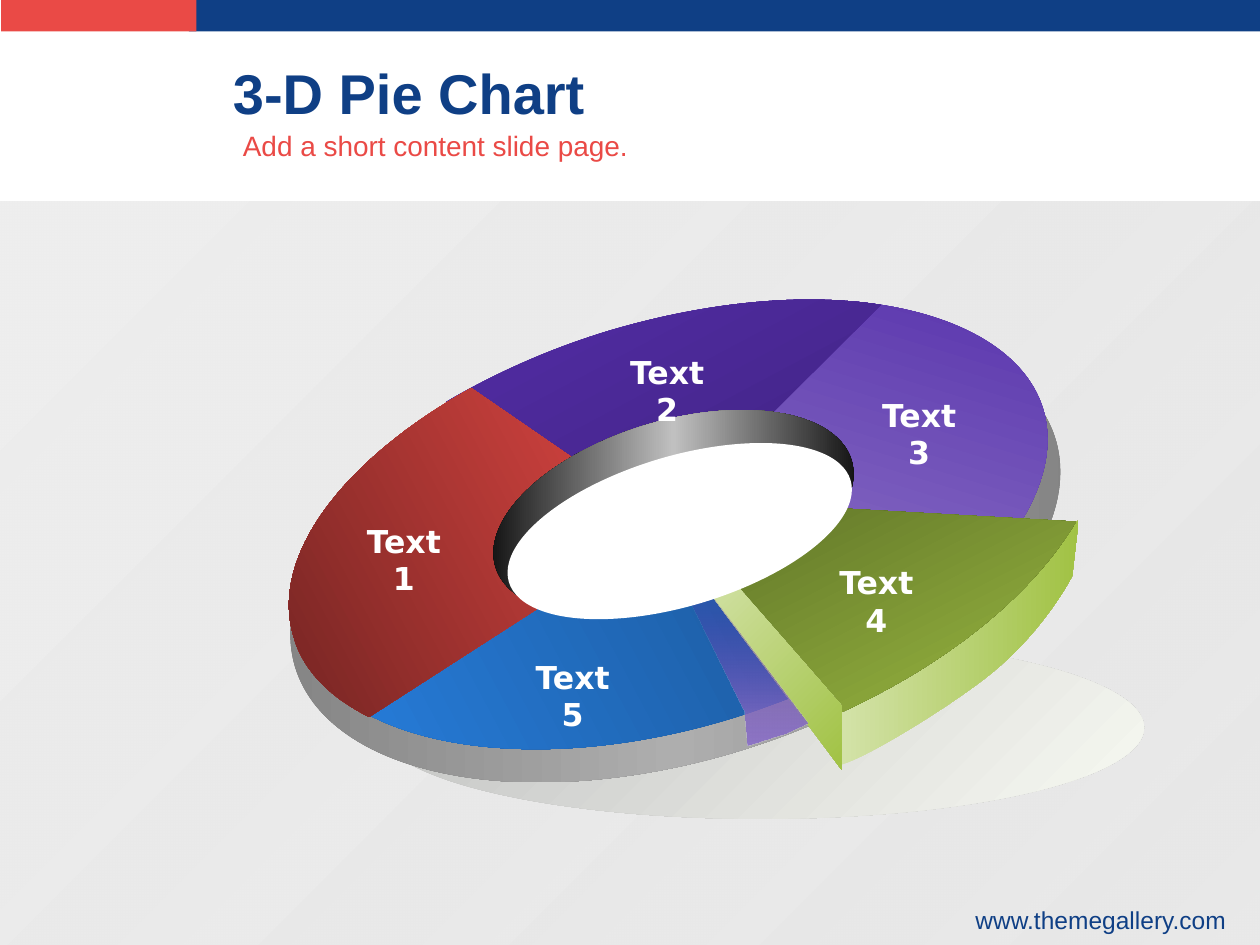
import math

import pptx
import pptx.dml.color
import pptx.enum.shapes
import pptx.enum.text
import pptx.oxml.ns
import pptx.util
from lxml import etree

RGB = pptx.dml.color.RGBColor
SHAPE = pptx.enum.shapes.MSO_SHAPE
ALIGN = pptx.enum.text.PP_ALIGN
ANCHOR = pptx.enum.text.MSO_ANCHOR
qn = pptx.oxml.ns.qn

NAVY = RGB(0x0F, 0x3F, 0x85)
CORAL = RGB(0xEA, 0x4A, 0x46)
WHITE = RGB(0xFF, 0xFF, 0xFF)
BLACK = RGB(0x00, 0x00, 0x00)
PALE_GREY = RGB(0xEE, 0xEE, 0xEE)
LIGHT_GREY = RGB(0xDD, 0xDD, 0xDD)
SILVER = RGB(0xC0, 0xC0, 0xC0)
MID_GREY = RGB(0xAE, 0xAE, 0xAE)
GREY = RGB(0x80, 0x80, 0x80)
IVORY = RGB(0xF7, 0xF9, 0xF2)
TEAL = RGB(0x27, 0x91, 0xBB)
VIOLET = RGB(0x54, 0x2E, 0xAA)
DEEP_VIOLET = RGB(0x3D, 0x21, 0x7B)
LILAC = RGB(0x92, 0x7A, 0xC9)
SOFT_LILAC = RGB(0x8D, 0x74, 0xC6)
DARK_BLUE = RGB(0x1C, 0x5A, 0x9E)
BLUE = RGB(0x28, 0x81, 0xE2)
DARK_RED = RGB(0x6C, 0x22, 0x20)
PALE_GREEN = RGB(0xD4, 0xE3, 0xAA)
GREEN = RGB(0xA1, 0xC2, 0x44)
DARK_GREEN = RGB(0x4B, 0x5A, 0x1F)

COLUMNS, ROWS = 10, 7.5
RING_TILT = 343.4
PULLED_TILT = 342.3

TITLE = {"size": pptx.util.Pt(32), "name": "Arial", "bold": True}
SUBTITLE = {"size": pptx.util.Pt(16), "name": "Arial"}
FOOTER = {"size": pptx.util.Pt(14), "name": "Arial"}
LABEL = {"size": pptx.util.Pt(18), "name": "DejaVu Sans", "bold": True}

# Outlines hold (x, y) corners and (x1, y1, x2, y2, x, y) Bezier curves;
# each is followed by its gradient, the gradient angle and the tilt.
PIE_PIECES = [
    ([(6.75, 2.39), (7.57, 2.46, 8.14, 2.78, 8.28, 3.25),
      (8.37, 3.55, 8.28, 3.9, 8.03, 4.25), (5.29, 4.15)],
     [(0, VIOLET), (100, LILAC)], 107, RING_TILT),
    ([(2.43, 5.22), (2.84, 5.95, 4.28, 6.16, 5.78, 5.71),
      (5.95, 5.66, 6.11, 5.6, 6.27, 5.54), (5.32, 4.16)],
     [(0, DARK_BLUE), (100, BLUE)], 152, RING_TILT),
    ([(3.54, 3.19), (3.93, 2.96, 4.38, 2.76, 4.85, 2.62),
      (5.6, 2.4, 6.37, 2.32, 6.99, 2.42), (5.29, 4.11)],
     [(0, VIOLET), (100, DEEP_VIOLET)], 62, RING_TILT),
    ([(3.74, 3.08), (2.7, 3.66, 2.14, 4.43, 2.33, 5.05),
      (2.4, 5.31, 2.61, 5.53, 2.93, 5.69), (5.31, 4.16)],
     [(0, CORAL), (100, DARK_RED)], 152, RING_TILT),
    ([(6.65, 5.67), (8.56, 4.13), (8.51, 4.57),
      (8.4, 4.78, 8.17, 5.1, 7.86, 5.35),
      (7.55, 5.6, 6.87, 6.02, 6.67, 6.07),
      (6.64, 5.93, 6.65, 5.67, 6.65, 5.67)],
     [(0, PALE_GREEN), (100, GREEN)], 0, 0),
    ([(8.54, 4.14), (8.17, 4.76, 7.45, 5.32, 6.55, 5.71), (5.35, 3.96)],
     [(0, DARK_GREEN), (100, GREEN)], 63, PULLED_TILT),
    ([(6.68, 5.6), (6.68, 6.11), (5.56, 4.61), (5.72, 4.5)],
     [(0, PALE_GREEN), (100, GREEN)], 45, 0),
]
GAP_WALL = ([(5.47, 4.76), (5.91, 5.65), (5.93, 5.92), (6.24, 5.82),
             (6.41, 5.74), (5.66, 4.74)],
            [(0, VIOLET, 19), (100, SOFT_LILAC)], 90, 0)
LABEL_SPOTS = [(2.76, 4.09), (4.85, 2.75), (6.85, 3.09), (6.51, 4.42), (4.1, 5.17)]


def turn(point, degrees):
    """Turn a point clockwise about the origin."""
    x, y = point
    cos, sin = math.cos(math.radians(degrees)), math.sin(math.radians(degrees))
    return x * cos - y * sin, x * sin + y * cos


def untilt(points, tilt):
    """Place points so that tilting their frame about its middle restores them."""
    level = [turn(point, -tilt) for point in points]
    middle = [(min(axis) + max(axis)) / 2 for axis in zip(*level)]
    shift = [new - old for new, old in zip(turn(middle, tilt), middle)]
    return [(x + shift[0], y + shift[1]) for x, y in level]


class SlideBuilder:
    """Places styled elements on the slide; lengths are grid columns and rows."""

    def __init__(self, deck):
        self.column = deck.slide_width / COLUMNS
        self.row = deck.slide_height / ROWS
        self.shapes = deck.slides.add_slide(deck.slide_layouts[6]).shapes

    def place(self, x, y):
        return round(x * self.column), round(y * self.row)

    def paint(self, shape, fill, angle, tilt):
        """Fill with one colour, or with (position, colour[, opacity]) stops."""
        shape.rotation = tilt
        shape.shadow.inherit = False
        shape.line.fill.background()
        if isinstance(fill, RGB):
            shape.fill.solid()
            shape.fill.fore_color.rgb = fill
            return
        shape.fill.gradient()
        shape.fill.gradient_angle = -angle % 360
        gradient = shape.element.spPr.find(qn("a:gradFill"))
        gradient.set("rotWithShape", "0")
        stops = gradient.find(qn("a:gsLst"))
        for stop in list(stops):
            stops.remove(stop)
        for position, colour, *opacity in fill:
            stop = etree.SubElement(stops, qn("a:gs"), pos=str(position * 1000))
            tone = etree.SubElement(stop, qn("a:srgbClr"), val=str(colour))
            for share in opacity:
                etree.SubElement(tone, qn("a:alpha"), val=str(share * 1000))

    def preset(self, kind, box, fill, angle=0, tilt=0):
        shape = self.shapes.add_shape(kind, *self.place(*box[:2]), *self.place(*box[2:]))
        self.paint(shape, fill, angle, tilt)

    def outline(self, parts, fill, angle, tilt):
        """Draw every point as a corner, then join each curve's three points."""
        points = [part[i:i + 2] for part in parts for i in range(0, len(part), 2)]
        first, *others = [self.place(*point) for point in untilt(points, tilt)]
        builder = self.shapes.build_freeform(*first)
        builder.add_line_segments(others, close=True)
        shape = builder.convert_to_shape()
        segments = iter(list(shape.element.iter(qn("a:lnTo"))))
        for part in parts[1:]:
            segment = next(segments)
            if len(part) == 6:
                segment.tag = qn("a:cubicBezTo")
                for _ in range(2):
                    absorbed = next(segments)
                    segment.append(absorbed[0])
                    absorbed.getparent().remove(absorbed)
        self.paint(shape, fill, angle, tilt)

    def text(self, words, box, style, colour, align=ALIGN.LEFT, anchor=ANCHOR.TOP):
        frame = self.shapes.add_textbox(
            *self.place(*box[:2]), *self.place(*box[2:])).text_frame
        frame.word_wrap = True
        frame.vertical_anchor = anchor
        paragraph = frame.paragraphs[0]
        paragraph.alignment = align
        run = paragraph.add_run()
        run.text = words
        for attribute, value in style.items():
            setattr(run.font, attribute, value)
        run.font.color.rgb = colour


def main():
    deck = pptx.Presentation()
    deck.slide_width = pptx.util.Inches(10)
    deck.slide_height = pptx.util.Inches(7.5)
    page = SlideBuilder(deck)

    page.preset(SHAPE.RECTANGLE, (1.5, 0, 8.5, 0.25), NAVY)
    page.preset(SHAPE.RECTANGLE, (0, 1.6, 10, 5.9),
                [(0, PALE_GREY), (100, LIGHT_GREY, 64)], 45)
    page.preset(SHAPE.RECTANGLE, (0.01, 0, 1.55, 0.25), CORAL)
    page.text("www.themegallery.com", (7.36, 7.13, 2.47, 0.35), FOOTER, NAVY, ALIGN.RIGHT)

    page.preset(SHAPE.OVAL, (3, 5.05, 6.08, 1.45), [(0, SILVER), (100, IVORY)], 45)
    page.preset(SHAPE.OVAL, (2.21, 2.74, 6.3, 3.3),
                [(0, GREY), (50, MID_GREY), (100, GREY)], tilt=RING_TILT)
    page.preset(SHAPE.OVAL, (2.27, 2.56, 6.08, 3.2),
                [(0, TEAL), (100, BLACK)], 62, RING_TILT)
    for piece in PIE_PIECES:
        page.outline(*piece)
    page.preset(SHAPE.OVAL, (3.87, 3.34, 2.95, 1.47),
                [(0, BLACK), (50, SILVER), (100, BLACK)], tilt=RING_TILT)
    for number, spot in enumerate(LABEL_SPOTS, 1):
        page.text(f"Text{number}", (*spot, 0.89, 0.4), LABEL, WHITE, ALIGN.CENTER)
    page.outline(*GAP_WALL)
    page.preset(SHAPE.OVAL, (3.98, 3.62, 2.83, 1.19), WHITE, tilt=RING_TILT)

    page.text("3-D Pie Chart", (1.75, 0.47, 7.31, 0.53), TITLE, NAVY, anchor=ANCHOR.MIDDLE)
    page.text("Add a short content slide page.", (1.83, 0.97, 5.17, 0.37), SUBTITLE, CORAL)
    deck.save("out.pptx")


if __name__ == "__main__":
    main()
